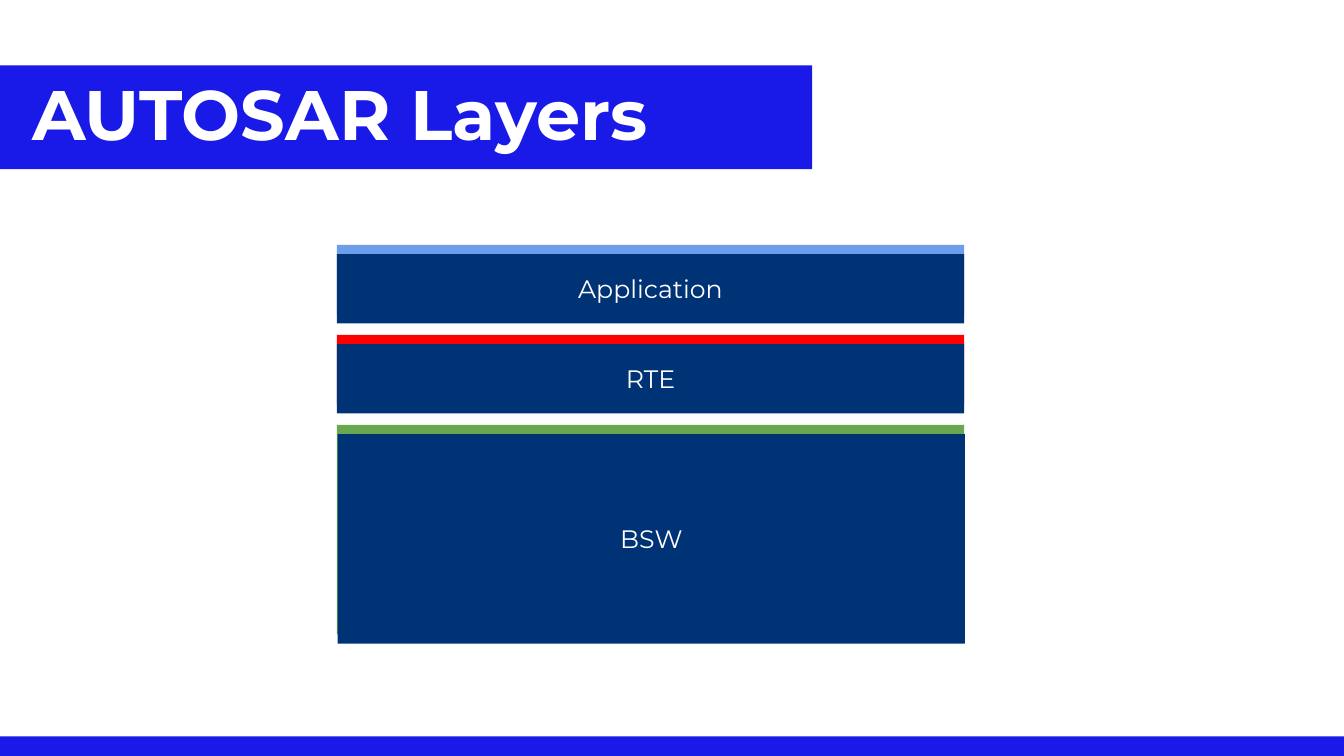
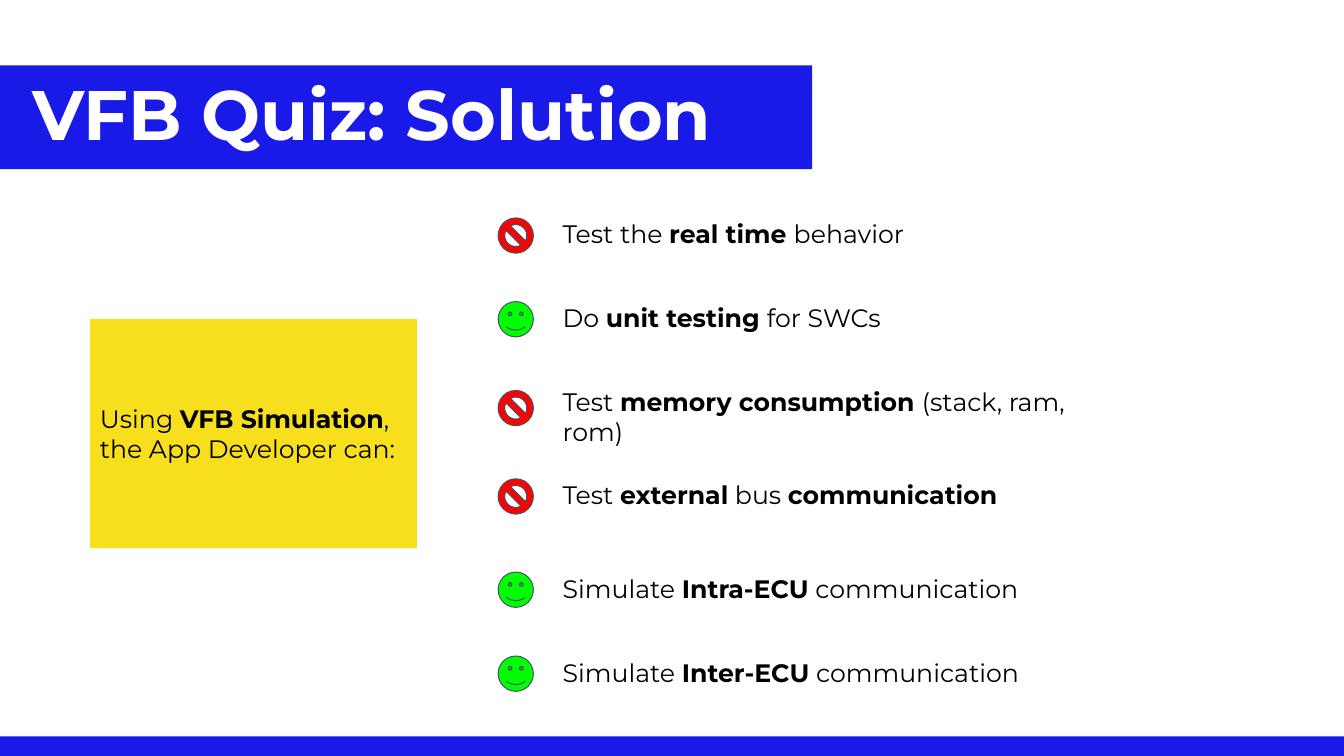
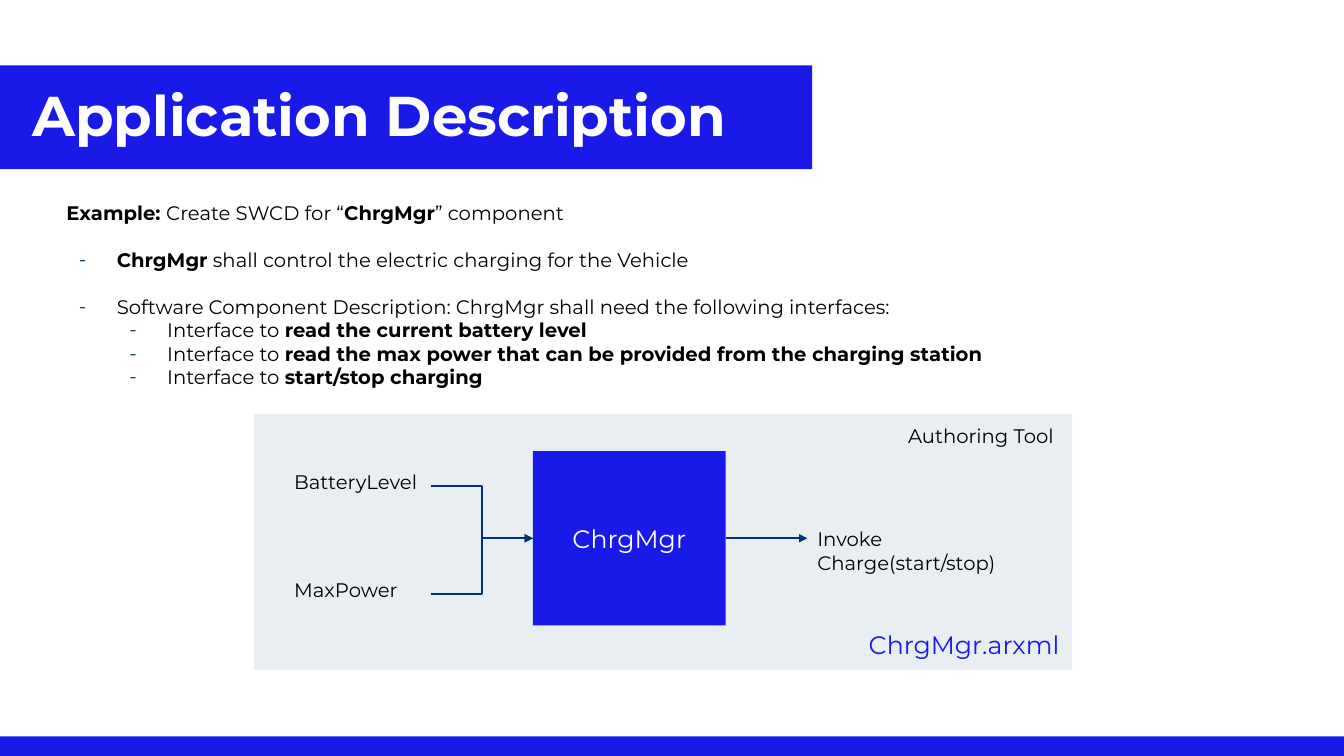
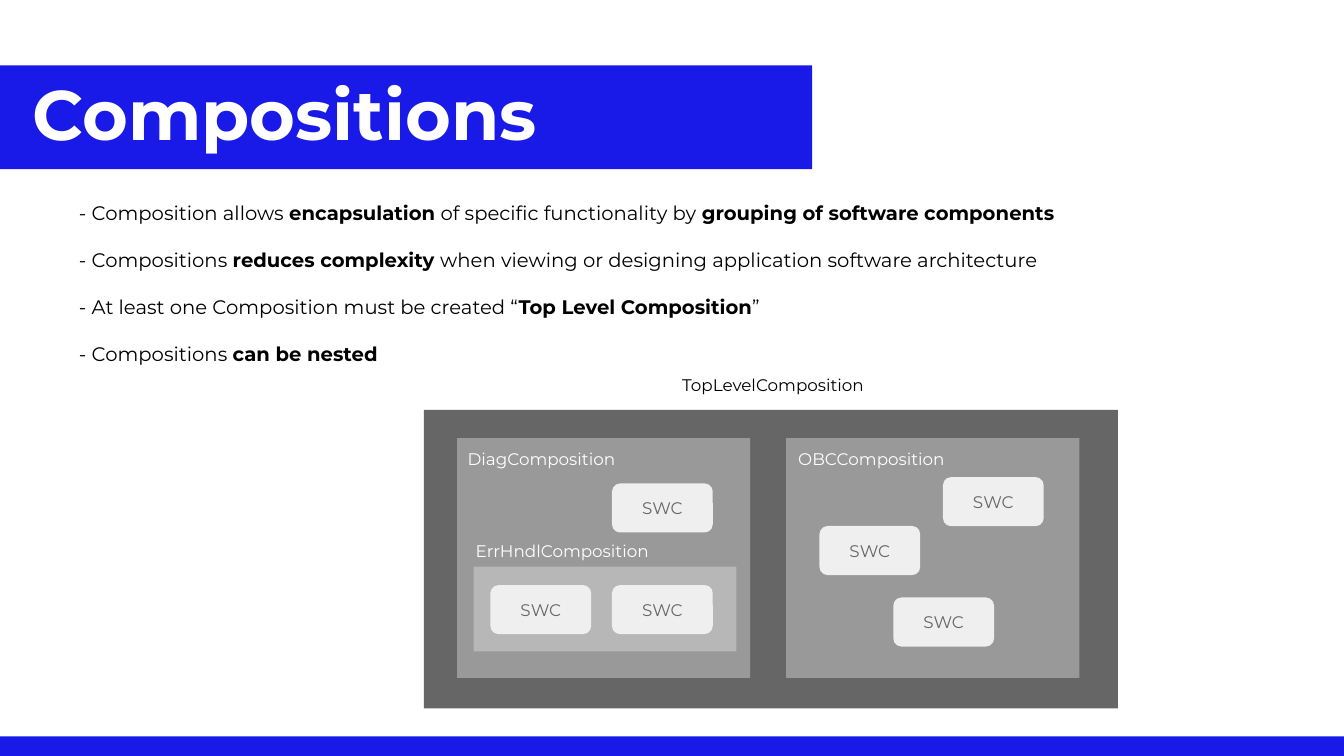
from lxml.etree import SubElement
from pptx import Presentation
from pptx.dml.color import RGBColor as RGB
from pptx.enum.shapes import MSO_CONNECTOR as LINK, MSO_SHAPE as SHAPE
from pptx.enum.text import MSO_ANCHOR as ANCHOR, MSO_AUTO_SIZE as FIT, PP_ALIGN as ALIGN
from pptx.oxml.ns import qn
from pptx.util import Emu, Pt

COLS, ROWS = 160, 90
CELL = 76200
FONT = "Montserrat"
COLORS = {
    "brand": "1A1AE8", "navy": "003376", "sky": "6D9EEB", "red": "FF0000",
    "leaf": "6AA84F", "lime": "00FF00", "yellow": "F7DF1E", "outline": "44546A",
    "panel": "E8EEF1", "dark": "666666", "mid": "999999", "soft": "B7B7B7",
    "pale": "EFEFEF", "white": "FFFFFF", "black": "000000",
}
BAND = (0, 7.8, 96.7, 12.35)
FOOTER = (0, 87.65, COLS, 2.35)
TITLE = (2.64, 7.9, 94.08, 12.35)
EDGE = 1.2
LEFT_SITE, RIGHT_SITE = 1, 3


def cells(*values):
    return [Emu(round(value * CELL)) for value in values]


def color(name):
    return RGB.from_string(COLORS[name])


def apply(target, values):
    for name, value in values.items():
        setattr(target, name, value)


class Deck:
    def __init__(self):
        self.show = Presentation()
        apply(self.show, dict(zip(("slide_width", "slide_height"), cells(COLS, ROWS))))
        self.layout = self.show.slide_layouts[5]
        self.slide = None

    def start(self, title, size=50):
        self.slide = self.show.slides.add_slide(self.layout)
        if len(self.show.slides) == 1:
            self.share_bands()
        heading = self.slide.shapes.title
        apply(heading, dict(zip(("left", "top", "width", "height"), cells(*TITLE))))
        self.frame(heading, ANCHOR.MIDDLE, EDGE / 2)
        line = heading.text_frame.paragraphs[0]
        apply(line, {"alignment": ALIGN.LEFT, "line_spacing": 0.9})
        self.add_words(line, f"**{title}", size, "white")

    def share_bands(self):
        for order, place in enumerate((BAND, FOOTER)):
            band = self.box(place, "brand")._element
            band.nvSpPr.cNvPr.id = 100 + order
            self.layout.shapes._spTree.insert(2 + order, band)

    def frame(self, shape, anchor, edge=EDGE):
        side, upright = cells(EDGE, edge)
        apply(shape.text_frame, {
            "word_wrap": True, "auto_size": FIT.NONE, "vertical_anchor": anchor,
            "margin_left": side, "margin_right": side,
            "margin_top": upright, "margin_bottom": upright,
        })

    def add_words(self, line, text, size, ink):
        for order, part in enumerate(text.split("**")):
            if part:
                run = line.add_run()
                run.text = part
                apply(run.font, {"name": FONT, "size": Pt(size), "bold": order % 2 == 1})
                run.font.color.rgb = color(ink)

    def box(self, place, fill, text="", size=18, ink="white", kind=SHAPE.RECTANGLE,
            align=ALIGN.CENTER, outline=None):
        shape = self.slide.shapes.add_shape(kind, *cells(*place))
        shape.shadow.inherit = False
        shape.fill.solid()
        shape.fill.fore_color.rgb = color(fill)
        if outline:
            shape.line.color.rgb = color(outline)
            shape.line.width = Pt(0.75)
        else:
            shape.line.fill.background()
        if text:
            self.frame(shape, ANCHOR.MIDDLE)
            line = shape.text_frame.paragraphs[0]
            line.alignment = align
            self.add_words(line, text, size, ink)
        return shape

    def label(self, place, text, size=14, ink="black"):
        note = self.slide.shapes.add_textbox(*cells(*place))
        self.frame(note, ANCHOR.TOP)
        self.add_words(note.text_frame.paragraphs[0], text, size, ink)
        return note

    def body(self, place, lines, size=14):
        note = self.slide.shapes.add_textbox(*cells(*place))
        self.frame(note, ANCHOR.TOP, EDGE / 2)
        for order, (text, indent, gap, dashed) in enumerate(lines):
            frame = note.text_frame
            line = frame.add_paragraph() if order else frame.paragraphs[0]
            line.space_before = Pt(gap)
            self.add_words(line, text, size, "black")
            self.indent(line, indent, dashed)

    def indent(self, line, indent, dashed):
        props = line._p.get_or_add_pPr()
        left, hang = cells(indent, -4.5 if dashed else 0)
        props.set("marL", str(left))
        props.set("indent", str(hang))
        if dashed:
            tint = SubElement(props, qn("a:buClr"))
            SubElement(tint, qn("a:srgbClr"), val=COLORS["navy"])
            SubElement(props, qn("a:buFont"), typeface=FONT)
            SubElement(props, qn("a:buChar"), char="-")

    def arrow(self, source, target, kind=LINK.STRAIGHT):
        link = self.slide.shapes.add_connector(kind, 0, 0, 0, 0)
        link.begin_connect(source, RIGHT_SITE)
        link.end_connect(target, LEFT_SITE)
        link.line.color.rgb = color("navy")
        link.line.width = Pt(1.5)
        SubElement(link.line._get_or_add_ln(), qn("a:tailEnd"), type="triangle")
        SubElement(link._element.spPr, qn("a:effectLst"))


def layers(deck):
    deck.start("AUTOSAR Layers")
    row = 29.15
    for name, accent, height, shift in (
        ("Application", "sky", 8.25, 0),
        ("RTE", "red", 8.25, 0),
        ("BSW", "leaf", 24.95, 0.1),
    ):
        deck.box((40.1, row, 74.68, height), accent)
        deck.box((40.1 + shift, row + 1.1, 74.68, height), "navy", name)
        row += height + 2.46


def quiz(deck):
    deck.start("VFB Quiz: Solution")
    deck.box((10.72, 38, 38.92, 27.25), "yellow",
             "Using **VFB Simulation**, the App Developer can:", ink="black", align=ALIGN.LEFT)
    icons = {True: (SHAPE.SMILEY_FACE, "lime"), False: (SHAPE.NO_SYMBOL, "red")}
    for row, drop, possible, answer in (
        (24.84, 1.1, False, "Test the **real time **behavior"),
        (34.8, 1.1, True, "Do **unit testing **for SWCs"),
        (44.8, 1.68, False, "Test **memory consumption **(stack, ram, rom)"),
        (55.9, 1.1, False, "Test **external** bus **communication"),
        (67, 1.1, True, "Simulate **Intra-ECU** communication"),
        (77, 1.1, True, "Simulate **Inter-ECU** communication"),
    ):
        kind, fill = icons[possible]
        deck.box((59.3, row + drop, 4.2, 4.2), fill, kind=kind, outline="outline")
        deck.label((65.8, row, 68.28, 6.36), answer, 18)


def description(deck):
    deck.start("Application Description", 40)
    deck.body((6.72, 23.28, 130.2, 64.3), (
        ("**Example: **Create SWCD for “**ChrgMgr**” component", 0, 0, False),
        ("**ChrgMgr** shall control the electric charging for the Vehicle", 6, 16.8, True),
        ("Software Component Description: ChrgMgr shall need the following interfaces:",
         6, 16.8, True),
        ("Interface to **read the current battery level", 12, 0, True),
        ("Interface to **read the max power that can be provided from the charging station",
         12, 0, True),
        ("Interface to **start/stop charging", 12, 0, True),
    ))
    deck.box((30.24, 49.3, 97.4, 30.45), "panel")
    manager = deck.box((63.45, 53.7, 22.95, 20.76), "brand", "ChrgMgr")
    for row, name in ((54.72, "BatteryLevel"), (67.56, "MaxPower")):
        signal = deck.label((33.84, row, 17.5, 6.24), name)
        deck.arrow(signal, manager, LINK.ELBOW)
    charge = deck.label((96.12, 61.56, 24.36, 5.04), "Invoke Charge(start/stop)")
    deck.arrow(manager, charge)
    deck.label((102.24, 73.68, 26.76, 5.04), "ChrgMgr.arxml", 18, "brand")
    deck.label((106.92, 49.32, 20.64, 5.04), "Authoring Tool")


def compositions(deck):
    deck.start("Compositions")
    points = (
        "- Composition allows **encapsulation** of specific functionality by "
        "**grouping of software components",
        "- Compositions **reduces complexity **when viewing or designing application "
        "software architecture",
        "- At least one Composition must be created “**Top Level Composition**”",
        "- Compositions **can be nested",
    )
    deck.body((6.72, 23.28, 128.8, 64.3),
              [(point, 1.5, 16.8 if order else 0, False) for order, point in enumerate(points)])
    for place, fill in (
        ((50.45, 48.8, 82.65, 35.55), "dark"),
        ((54.42, 52.15, 34.9, 28.55), "mid"),
        ((93.6, 52.15, 34.9, 28.55), "mid"),
        ((56.37, 67.45, 31.3, 10.1), "soft"),
    ):
        deck.box(place, fill)
    for col, row in ((72.86, 57.55), (58.39, 69.65), (72.86, 69.65),
                     (112.26, 56.8), (97.56, 62.62), (106.35, 71.13)):
        deck.box((col, row, 12, 5.85), "pale", "SWC", 12, "dark", SHAPE.ROUNDED_RECTANGLE)
    for col, row, width, name, ink in (
        (80.04, 43.44, 24.7, "TopLevelComposition", "black"),
        (54.48, 52.2, 22, "DiagComposition", "white"),
        (93.84, 52.2, 22, "OBCComposition", "white"),
        (55.44, 63.2, 26.5, "ErrHndlComposition", "white"),
    ):
        deck.label((col, row, width, 5.4), name, 12, ink)


def main():
    deck = Deck()
    for build in (layers, quiz, description, compositions):
        build(deck)
    deck.show.save("out.pptx")


if __name__ == "__main__":
    main()
